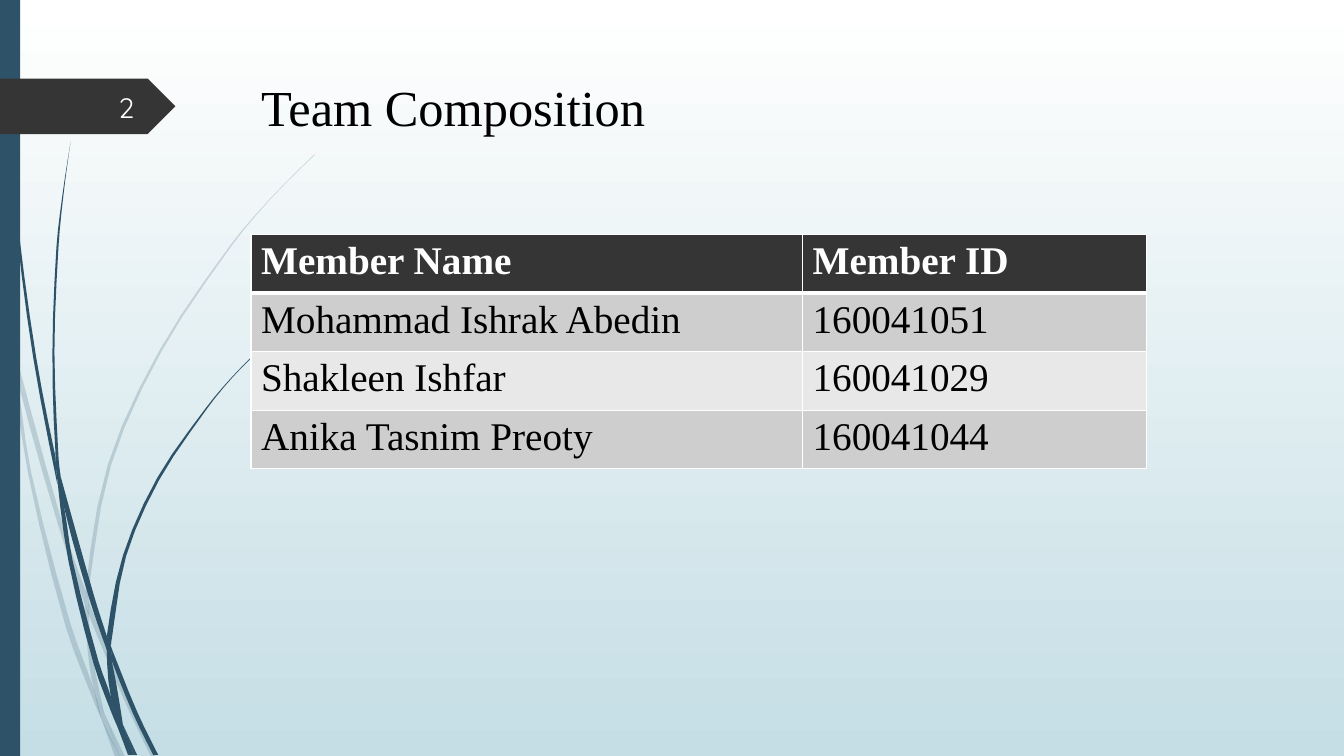
from dataclasses import dataclass

from lxml import etree
from pptx import Presentation
from pptx import util as u
from pptx.dml.color import RGBColor
from pptx.enum import shapes, text
from pptx.oxml import ns

COLS, ROWS = 13.33, 7.5  # grid that covers the slide
CELL = u.Inches(1)


@dataclass(frozen=True)
class Theme:
    teal: str = "2E5369"
    dark: str = "353535"
    white: str = "FFFFFF"
    number: str = "FEFFFF"
    black: str = "000000"
    sky: str = "C5DEE5"
    bands: tuple = ("CECECE", "E8E8E8")
    serif: str = "Times New Roman"
    sans: str = "Quicksand"
    title_size: int = 36
    table_size: int = 28
    number_size: int = 20


THEME = Theme()

MEMBERS = [
    ("Member Name", "Member ID"),
    ("Mohammad Ishrak Abedin", "160041051"),
    ("Shakleen Ishfar", "160041029"),
    ("Anika Tasnim Preoty", "160041044"),
]

# Left and right edge of each blade of grass, as (column, row) knots from top to bottom
FAINT_BLADES = [
    ([(0, 2.99), (.1, 3.44), (.11, 3.5)], [(0, 2.82), (.09, 3.22), (.11, 3.5)]),
    ([(.14, 3.45), (.17, 3.76), (.58, 5.22), (.84, 5.99)],
     [(.14, 3.45), (.62, 5.2), (.85, 5.86)]),
    ([(.88, 6.1), (1.23, 6.94), (1.5, 7.51)],
     [(.88, 5.96), (.92, 6.07), (1.27, 6.92), (1.55, 7.51)]),
    ([(1.05, 7.11), (1.19, 7.51)], [(1.05, 7.11), (1.24, 7.51)]),
    ([(.11, 3.5), (.28, 4.7), (.65, 6.21), (.92, 6.93), (1.01, 7.14)],
     [(.11, 3.5), (.17, 3.76), (.31, 4.69), (.7, 6.19), (.93, 6.83), (1.01, 7.14)]),
    ([(.84, 5.99), (.87, 6.46), (.93, 6.83), (1.05, 7.11)],
     [(.88, 6.08), (.91, 6.46), (1.03, 7.06), (1.05, 7.11)]),
    ([(3.12, 1.53), (2.68, 1.97), (2.28, 2.44), (1.58, 3.48), (1.07, 4.61), (.85, 5.86)],
     [(3.12, 1.54), (2.68, 1.98), (2.29, 2.45), (1.6, 3.49), (1.1, 4.62), (.88, 5.84),
      (.88, 5.96)]),
    ([(1.01, 7.14), (1.14, 7.51)], [(1.01, 7.14), (1.19, 7.51)]),
    ([(.85, 5.86), (.84, 5.99)], [(.85, 5.86), (.88, 5.96), (.88, 6.1)]),
    ([(.93, 6.83), (1.01, 7.14), (1.19, 7.51)],
     [(.93, 6.83), (.96, 6.92), (1.05, 7.11), (1.19, 7.51)]),
]
SOLID_BLADES = [
    ([(.03, 0), (.04, .48), (.07, 1.1), (.17, 2.33), (.33, 3.55), (.57, 4.81)],
     [(.04, 0), (.05, .48), (.08, 1.09), (.19, 2.32), (.36, 3.55), (.55, 4.53)]),
    ([(.6, 4.72), (.64, 5.05), (.88, 5.92), (1.06, 6.45)],
     [(.6, 4.72), (.93, 5.9), (1.06, 6.31)]),
    ([(1.11, 6.56), (1.32, 7.08), (1.52, 7.49)],
     [(1.1, 6.41), (1.13, 6.49), (1.36, 7.06), (1.57, 7.49)]),
    ([(.57, 4.77), (.68, 5.57), (.93, 6.59), (1.11, 7.08), (1.17, 7.22)],
     [(.57, 4.77), (.64, 5.05), (.72, 5.56), (.98, 6.57), (1.1, 6.91), (1.17, 7.22)]),
    ([(.7, 1.41), (.62, 1.93), (.56, 2.45), (.52, 3.49), (.55, 4.49), (.6, 4.72)],
     [(.7, 1.41), (.63, 1.93), (.58, 2.45), (.54, 3.49), (.58, 4.53), (.6, 4.72)]),
    ([(1.22, 7.19), (1.33, 7.49)], [(1.22, 7.19), (1.36, 7.49)]),
    ([(.55, 4.49), (.57, 4.77), (.64, 5.05)], [(.55, 4.49), (.6, 4.72), (.64, 5.05)]),
    ([(2.6, 3.44), (2.31, 3.73), (2.04, 4.05), (1.56, 4.74), (1.22, 5.51), (1.06, 6.31)],
     [(2.61, 3.44), (2.31, 3.74), (2.05, 4.06), (1.58, 4.76), (1.25, 5.52), (1.11, 6.33),
      (1.1, 6.41)]),
    ([(1.17, 7.22), (1.27, 7.49)], [(1.17, 7.22), (1.31, 7.49)]),
    ([(1.06, 6.45), (1.1, 6.91), (1.22, 7.19)], [(1.06, 6.45), (1.11, 6.56), (1.22, 7.19)]),
    ([(1.06, 6.31), (1.06, 6.45), (1.11, 6.56)], [(1.06, 6.31), (1.1, 6.41), (1.11, 6.56)]),
    ([(1.1, 6.91), (1.17, 7.22), (1.3, 7.49)], [(1.1, 6.91), (1.22, 7.19), (1.33, 7.49)]),
]


def span(*cells):
    return [round(cell * CELL) for cell in cells]


def color(code):
    return RGBColor.from_string(code)


def paint(shape, code, opacity=100):
    shape.shadow.inherit = False
    shape.line.fill.background()
    shape.fill.solid()
    shape.fill.fore_color.rgb = color(code)
    if opacity < 100:
        tone = shape.fill._xPr.find(".//" + ns.qn("a:srgbClr"))
        etree.SubElement(tone, ns.qn("a:alpha"), val=str(opacity * 1000))


def write(frame, words, *, size, face, tint, bold=False,
          align=text.PP_ALIGN.LEFT, anchor=text.MSO_ANCHOR.TOP):
    frame.word_wrap = True
    frame.vertical_anchor = anchor
    line = frame.paragraphs[0]
    line.alignment = align
    run = line.add_run()
    run.text = words
    run.font.size, run.font.name, run.font.bold = u.Pt(size), face, bold
    run.font.color.rgb = color(tint)


def smooth(knots, steps=3):
    """Cubic curve through the knots, with the column as a function of the row."""
    pairs = list(zip(knots, knots[1:]))
    chords = [(x1 - x0) / (y1 - y0) for (x0, y0), (x1, y1) in pairs]
    inner = [(x1 - x0) / (y1 - y0) for (x0, y0), (x1, y1) in zip(knots, knots[2:])]
    ends = [1.5 * chords[i] - .5 * inner[i] if inner else chords[i] for i in (0, -1)]
    slopes = [ends[0], *inner, ends[1]]
    curve = [knots[0]]
    for i, ((x0, y0), (x1, y1)) in enumerate(pairs):
        for step in range(1, steps + 1):
            t = step / steps
            ease = t * t * (3 - 2 * t)
            bend = t * (1 - t) * ((1 - t) * slopes[i] - t * slopes[i + 1])
            curve.append((x0 + (x1 - x0) * ease + (y1 - y0) * bend, y0 + (y1 - y0) * t))
    return curve


def add_blade(slide, left, right, opacity):
    outline = [span(*point) for point in smooth(left) + smooth(right)[::-1]]
    builder = slide.shapes.build_freeform(*outline[0])
    builder.add_line_segments(outline[1:], close=True)
    paint(builder.convert_to_shape(), THEME.teal, opacity)


def add_block(slide, preset, place, code):
    paint(slide.shapes.add_shape(preset, *span(*place)), code)


def add_border(cell, side, points):
    line = etree.SubElement(cell._tc.get_or_add_tcPr(), ns.qn("a:ln" + side),
                            w=str(u.Pt(points)))
    fill = etree.SubElement(line, ns.qn("a:solidFill"))
    etree.SubElement(fill, ns.qn("a:srgbClr"), val=THEME.white)


def add_members(slide, place, widths):
    members = slide.shapes.add_table(len(MEMBERS), len(widths), *span(*place)).table
    members.first_row = members.horz_banding = False
    for column, width in zip(members.columns, span(*widths)):
        column.width = width
    for r, record in enumerate(MEMBERS):
        header = r == 0
        for c, words in enumerate(record):
            cell = members.cell(r, c)
            edges = {"L": 1, "R": 1, "T": 3 if r == 1 else 1, "B": 3 if header else 1}
            for side, points in edges.items():
                add_border(cell, side, points)
            cell.fill.solid()
            cell.fill.fore_color.rgb = color(THEME.dark if header else THEME.bands[(r - 1) % 2])
            write(cell.text_frame, words, size=THEME.table_size, face=THEME.serif,
                  tint=THEME.white if header else THEME.black, bold=header)


def add_backdrop(slide):
    sky = slide.background.fill
    sky.gradient()
    sky.gradient_angle = 270
    for stop, position, code in zip(sky.gradient_stops, (0, 1), (THEME.white, THEME.sky)):
        stop.position, stop.color.rgb = position, color(code)
    for blades, opacity in ((FAINT_BLADES, 20), (SOLID_BLADES, 100)):
        for left, right in blades:
            add_blade(slide, left, right, opacity)
    add_block(slide, shapes.MSO_SHAPE.RECTANGLE, (0, 0, .2, ROWS), THEME.teal)
    add_block(slide, shapes.MSO_SHAPE.PENTAGON, (0, .78, 1.74, .55), THEME.dark)


def main():
    deck = Presentation()
    deck.slide_width, deck.slide_height = span(COLS, ROWS)
    slide = deck.slides.add_slide(deck.slide_layouts[5])

    # Background, grass and side bar
    add_backdrop(slide)

    # Title
    heading = slide.shapes.title
    heading.left, heading.top, heading.width, heading.height = span(2.49, .7, 9.75, 1.4)
    heading.text_frame.auto_size = text.MSO_AUTO_SIZE.NONE
    write(heading.text_frame, "Team Composition", size=THEME.title_size,
          face=THEME.serif, tint=THEME.black)

    # Team table
    add_members(slide, (2.49, 2.33, 8.88, 2.32), (5.47, 3.41))

    # Slide number
    number = slide.shapes.add_textbox(*span(.58, .86, .85, .4))
    write(number.text_frame, "2", size=THEME.number_size, face=THEME.sans, tint=THEME.number,
          align=text.PP_ALIGN.RIGHT, anchor=text.MSO_ANCHOR.MIDDLE)

    deck.save("out.pptx")


if __name__ == "__main__":
    main()
